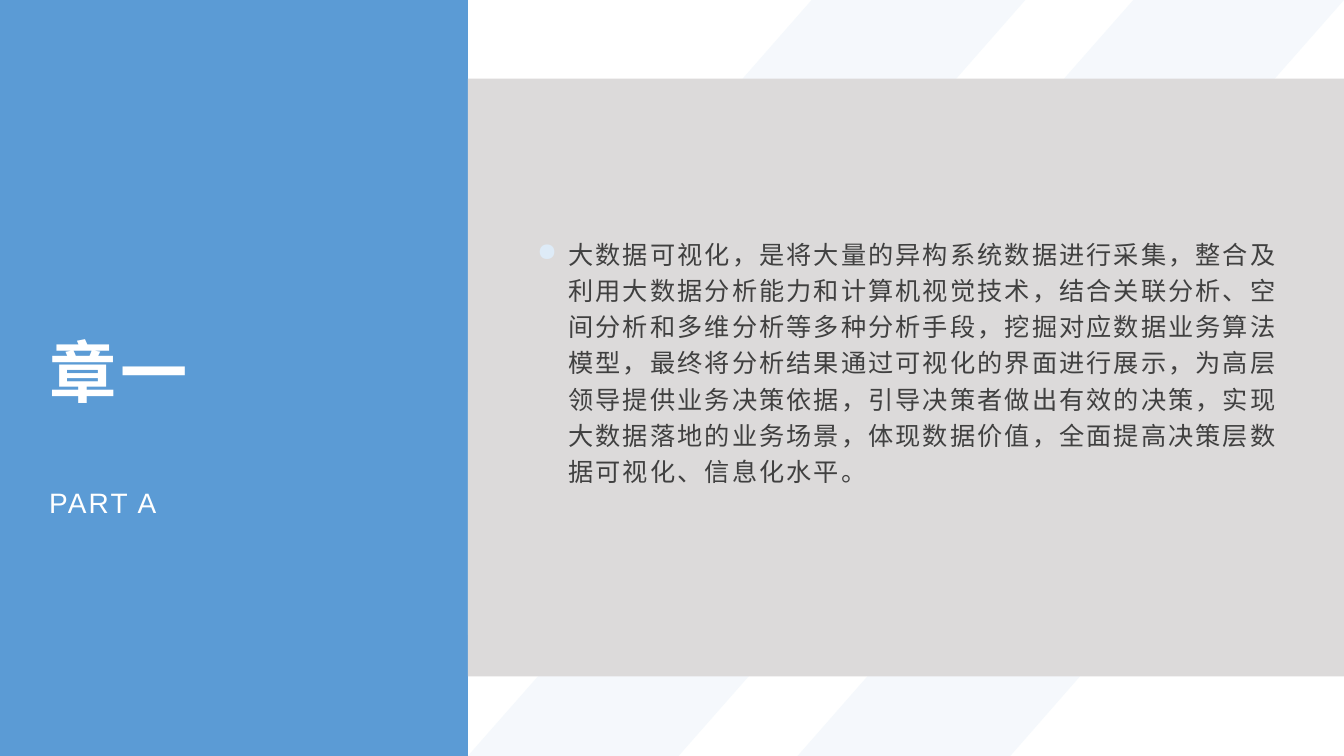
"""Build a section slide: blue title panel, striped backdrop and a grey text panel."""
from lxml import etree
from pptx import Presentation
from pptx.dml.color import RGBColor
from pptx.enum.shapes import MSO_SHAPE as Shape
from pptx.enum.text import MSO_ANCHOR as Anchor
from pptx.oxml.ns import qn
from pptx.util import Inches, Pt

WIDTH, HEIGHT, SPLIT = 13.33, 7.5, 4.64
BLUE, PALE, GREY, DARK, WHITE = "5B9BD5", "DEEBF7", "DCDADA", "404040", "FFFFFF"

TITLE = "章一"
SUBTITLE = "PART A"
BODY = (
    "大数据可视化，是将大量的异构系统数据进行采集，整合及"
    "利用大数据分析能力和计算机视觉技术，结合关联分析、空"
    "间分析和多维分析等多种分析手段，挖掘对应数据业务算法"
    "模型，最终将分析结果通过可视化的界面进行展示，为高层"
    "领导提供业务决策依据，引导决策者做出有效的决策，实现"
    "大数据落地的业务场景，体现数据价值，全面提高决策层数"
    "据可视化、信息化水平。"
)
CORNER_STRIPES = [
    [(8.05, 0), (10.17, 0), (SPLIT, 6.3), (SPLIT, 3.89)],
    [(WIDTH, 1.32), (WIDTH, 3.72), (10.02, HEIGHT), (7.91, HEIGHT)],
]


def color(value):
    return RGBColor.from_string(value)


def paint(shape, fill, opacity=100):
    shape.shadow.inherit = False
    shape.line.fill.background()
    shape.fill.solid()
    shape.fill.fore_color.rgb = color(fill)
    if opacity < 100:
        tint = shape.fill._xPr.find(".//" + qn("a:srgbClr"))
        etree.SubElement(tint, qn("a:alpha"), val=str(opacity * 1000))


def add_panel(page, kind, left, top, width, height, fill, opacity=100):
    panel = page.shapes.add_shape(kind, *map(Inches, (left, top, width, height)))
    paint(panel, fill, opacity)
    return panel


def add_stripe(page, points):
    corners = [(Inches(x), Inches(y)) for x, y in points]
    builder = page.shapes.build_freeform(*corners[0])
    builder.add_line_segments(corners[1:], close=True)
    paint(builder.convert_to_shape(), PALE, 30)


def add_text(page, area, words, size, fill, spacing, anchor=Anchor.TOP, bold=False):
    box = page.shapes.add_textbox(*map(Inches, area))
    frame = box.text_frame
    frame.word_wrap = True
    frame.vertical_anchor = anchor
    para = frame.paragraphs[0]
    span = para.add_run()
    span.text = words
    para.line_spacing = 1.2
    para.font.size = Pt(size)
    para.font.name = "Arial"
    para.font.bold = bold
    para.font.color.rgb = color(fill)
    span.font._element.set("spc", str(round(spacing * 100)))
    return frame


def add_bullet(para, indent, fill):
    props = para._p.get_or_add_pPr()
    props.set("marL", str(Inches(indent)))
    props.set("indent", str(-Inches(indent)))
    bullet_color = etree.Element(qn("a:buClr"))
    etree.SubElement(bullet_color, qn("a:srgbClr"), val=fill)
    bullet = etree.Element(qn("a:buChar"), char="●")
    defaults = props.find(qn("a:defRPr"))
    defaults.addprevious(bullet_color)
    defaults.addprevious(bullet)


def main():
    deck = Presentation()
    deck.slide_width, deck.slide_height = Inches(WIDTH), Inches(HEIGHT)
    page = deck.slides.add_slide(deck.slide_layouts[6])
    right = WIDTH - SPLIT

    add_panel(page, Shape.RECTANGLE, 0, 0, SPLIT, HEIGHT, BLUE)
    for points in CORNER_STRIPES:
        add_stripe(page, points)
    band = add_panel(page, Shape.PARALLELOGRAM, SPLIT, 0, right, HEIGHT, PALE, 30)
    band.adjustments[0] = 0.88
    add_panel(page, Shape.RECTANGLE, SPLIT, 0.78, right, 5.93, GREY)

    add_text(page, (0.39, 4.7, 3.86, 0.5), SUBTITLE, 20, WHITE, 1.5)
    body = add_text(page, (5.23, 1.23, 7.56, 5.03), BODY, 18, DARK, 1.5, Anchor.MIDDLE)
    body.margin_bottom = Inches(0.4)
    add_bullet(body.paragraphs[0], 0.31, PALE)
    add_text(page, (0.39, 1.83, 3.86, 2.3), TITLE, 48, WHITE, 3, Anchor.BOTTOM, True)

    deck.save("out.pptx")


if __name__ == "__main__":
    main()
